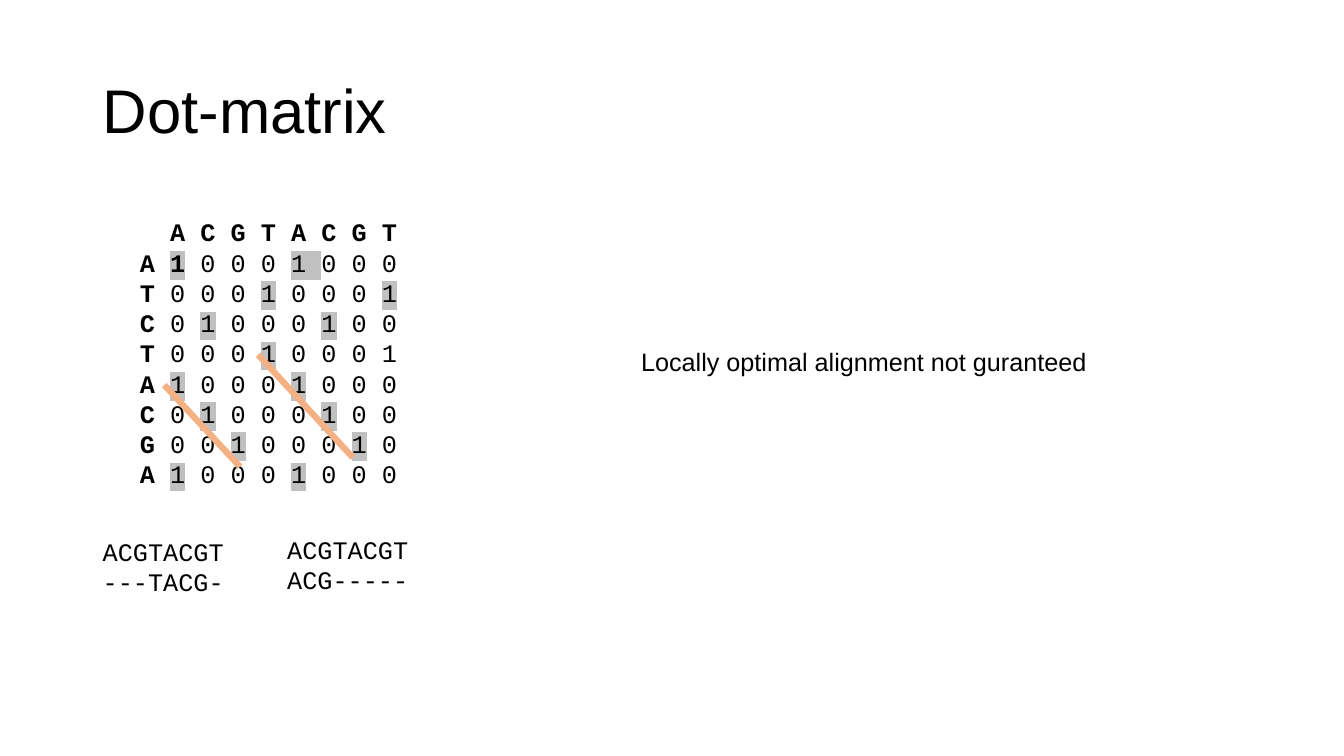
from lxml import etree
from pptx import Presentation
from pptx.dml.color import RGBColor
from pptx.enum.shapes import MSO_CONNECTOR
from pptx.enum.text import MSO_ANCHOR, PP_ALIGN
from pptx.oxml.ns import qn
from pptx.util import Inches, Pt

STRAIGHT = MSO_CONNECTOR.STRAIGHT
MIDDLE = MSO_ANCHOR.MIDDLE
LEFT = PP_ALIGN.LEFT
BLACK = RGBColor(0x00, 0x00, 0x00)
GREY = RGBColor(0xC0, 0xC0, 0xC0)
ORANGE = RGBColor(0xF4, 0xB1, 0x83)
SANS = "Arial"
MONO = "Courier New"

HEADER = "A C G T A C G T"
# Square brackets enclose the highlighted cells.
MATRIX_ROWS = [
    "A [1] 0 0 0 [1 ]0 0 0",
    "T 0 0 0 [1] 0 0 0 [1]",
    "C 0 [1] 0 0 0 [1] 0 0",
    "T 0 0 0 [1] 0 0 0 1",
    "A [1] 0 0 0 [1] 0 0 0",
    "C 0 [1] 0 0 0 [1] 0 0",
    "G 0 0 [1] 0 0 0 [1] 0",
    "A [1] 0 0 0 [1] 0 0 0",
]
DIAGONALS = [(2.56, 3.52, 3.5, 4.54), (1.63, 3.82, 2.38, 4.63)]
LABELS = [
    (0.92, 5.27, 1.41, 0.71, MONO, ["ACGTACGT", "---TACG-"]),
    (2.75, 5.25, 1.41, 0.71, MONO, ["ACGTACGT", "ACG-----"]),
    (6.26, 3.39, 4.66, 0.4, SANS, ["Locally optimal alignment not guranteed"]),
]


def style_paragraph(paragraph, font_name, size=18):
    paragraph.alignment = LEFT
    paragraph.font.name = font_name
    paragraph.font.size = Pt(size)
    paragraph.font.color.rgb = BLACK


def add_run(paragraph, text, bold=False, highlighted=False):
    run = paragraph.add_run()
    run.text = text
    run.font.bold = bold
    if highlighted:
        properties = run._r.get_or_add_rPr()
        highlight = etree.SubElement(properties, qn("a:highlight"))
        etree.SubElement(highlight, qn("a:srgbClr"), val=str(GREY))


presentation = Presentation()
presentation.slide_width = Inches(13.33)
presentation.slide_height = Inches(7.5)
slide = presentation.slides.add_slide(presentation.slide_layouts[5])

title = slide.shapes.title
title.left, title.top = Inches(0.92), Inches(0.4)
title.width, title.height = Inches(11.5), Inches(1.45)
title.text_frame.text = "Dot-matrix"
title.text_frame.vertical_anchor = MIDDLE
title_paragraph = title.text_frame.paragraphs[0]
title_paragraph.line_spacing = 0.9
style_paragraph(title_paragraph, SANS, 44)

# Dot matrix
matrix = slide.shapes.add_textbox(Inches(1.29), Inches(2.1), Inches(2.93), Inches(2.9))
matrix.text_frame.word_wrap = True
header = matrix.text_frame.paragraphs[0]
header._p.get_or_add_pPr().set("marL", str(Inches(0.3)))  # two characters wide
add_run(header, HEADER, bold=True)
style_paragraph(header, MONO)

for row_index, row in enumerate(MATRIX_ROWS):
    paragraph = matrix.text_frame.add_paragraph()
    add_run(paragraph, row[:2], bold=True)
    for piece_index, piece in enumerate(row[2:].replace("]", "[").split("[")):
        if piece:
            first_match = row_index == 0 and piece_index == 1
            add_run(paragraph, piece, bold=first_match, highlighted=piece_index % 2 == 1)
    style_paragraph(paragraph, MONO)

# Diagonals marking the matching runs
for diagonal in DIAGONALS:
    line = slide.shapes.add_connector(STRAIGHT, *[Inches(value) for value in diagonal])
    line.line.color.rgb = ORANGE
    line.line.width = Pt(4.5)
    etree.SubElement(line._element.spPr, qn("a:effectLst"))

# Alignments and remark
for left, top, width, height, font_name, texts in LABELS:
    label = slide.shapes.add_textbox(Inches(left), Inches(top), Inches(width), Inches(height))
    label.text_frame.word_wrap = False
    label.text_frame.text = "\n".join(texts)
    for paragraph in label.text_frame.paragraphs:
        style_paragraph(paragraph, font_name)

presentation.save("out.pptx")
